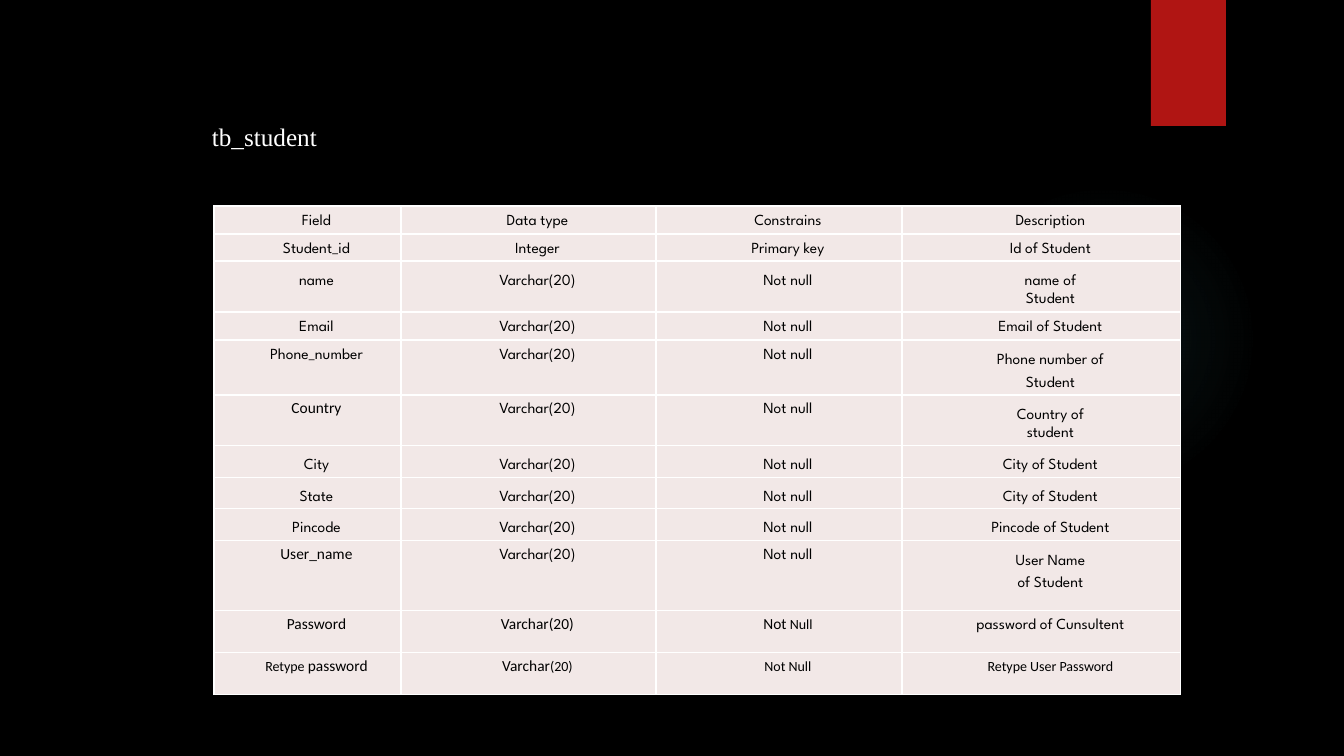
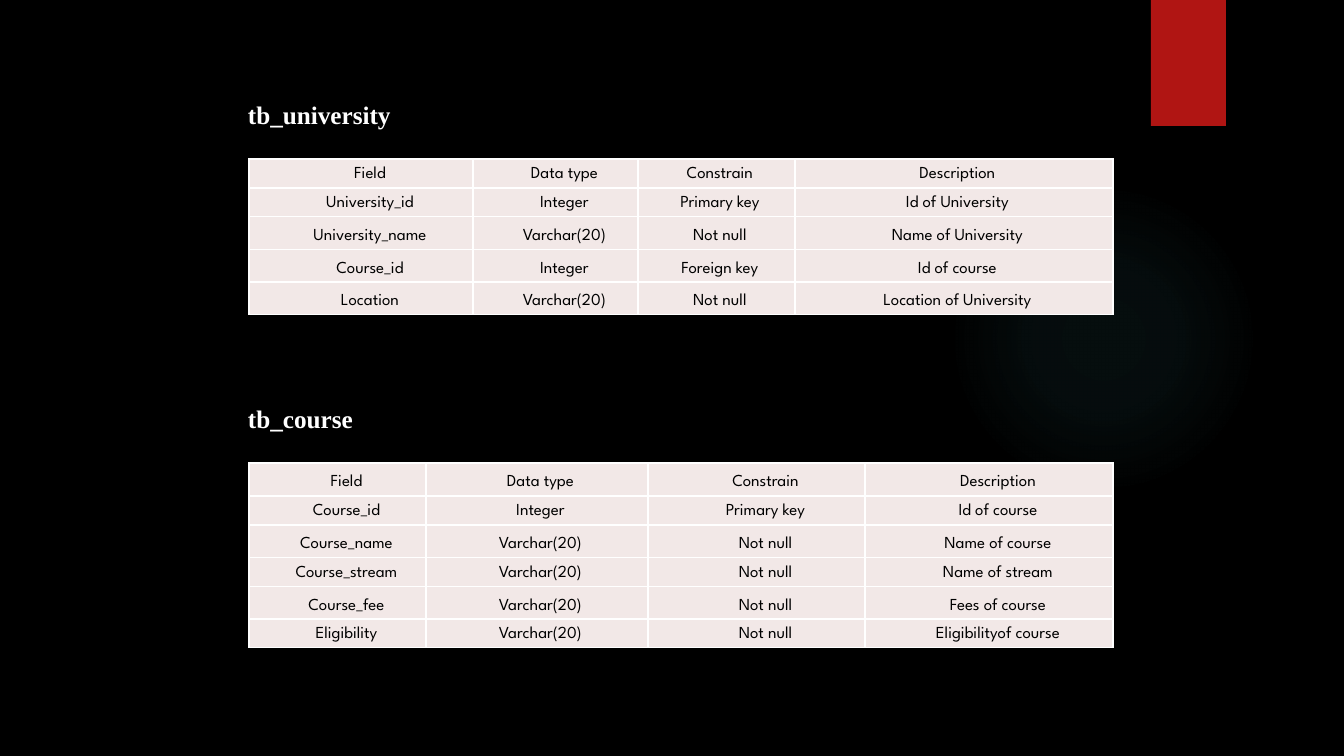
import dataclasses

import pptx
import pptx.dml.color
import pptx.enum.shapes
import pptx.enum.text
import pptx.oxml
import pptx.oxml.ns
import pptx.util

PAGE_WIDTH, PAGE_HEIGHT = 1344, 756
SCALE = 12192000 / PAGE_WIDTH

BLACK = pptx.dml.color.RGBColor(0x00, 0x00, 0x00)
WHITE = pptx.dml.color.RGBColor(0xFF, 0xFF, 0xFF)
RED = pptx.dml.color.RGBColor(0xB0, 0x15, 0x13)
TEAL = pptx.dml.color.RGBColor(0x50, 0xB9, 0xC1)
PALE_PINK = pptx.dml.color.RGBColor(0xF2, 0xE8, 0xE7)

TITLE_FONT = "Times New Roman"
TABLE_FONT = "League Spartan"
PLAIN_FONT = "Calibri"

TIGHT, MIDDLE, LOOSE = 13.2, 16.1, 17.1
WIDE_INDENT, SMALL_INDENT = 18, 7
GLOW_STOPS = ((0, 7), (36, 6), (69, 0))


@dataclasses.dataclass
class Span:
    text: str
    size: int = 11
    font: str = PLAIN_FONT


@dataclasses.dataclass
class Line:
    spans: list
    spacing: float


STUDENT_ROWS = [
    (28, TIGHT, ["Field", "Data type", "Constrains", "Description"]),
    (27, TIGHT, ["Student_id", "Integer", "Primary key", "Id of Student"]),
    (51, LOOSE, ["name", "Varchar(20)", "Not null",
                 [Line(["name of"], LOOSE), Line(["Student"], TIGHT)]]),
    (28, TIGHT, ["Email", "Varchar(20)", "Not null", "Email of Student"]),
    (55, TIGHT, ["Phone_number", "Varchar(20)", "Not null",
                 [Line(["Phone number of"], LOOSE), Line(["Student"], MIDDLE)]]),
    (51, TIGHT, [Span("Country"), "Varchar(20)", "Not null",
                 [Line(["Country of"], LOOSE), Line(["student"], TIGHT)]]),
    (32, MIDDLE, ["City", "Varchar(20)", "Not null", "City of Student"]),
    (31, MIDDLE, ["State", "Varchar(20)", "Not null", "City of Student"]),
    (32, MIDDLE, ["Pincode", "Varchar(20)", "Not null", "Pincode of Student"]),
    (70, TIGHT, [Span("User_name"), "Varchar(20)", "Not null",
                 [Line(["User Name"], LOOSE), Line(["of Student"], MIDDLE)]]),
    (42, TIGHT, [Span("Password"), Span("Varchar(20)"),
                 [Line([Span("Not"), Span(" Null", 10)], TIGHT)],
                 "password of Cunsultent"]),
    (42, TIGHT, [[Line([Span("Retype ", 10), Span("password")], TIGHT)],
                 [Line([Span("Varchar"), Span("(20)", 10)], TIGHT)],
                 Span("Not Null", 10), Span("Retype User Password", 10)]),
]

UNIVERSITY_ROWS = [
    (29, TIGHT, ["Field", "Data type", "Constrain", "Description"]),
    (28, TIGHT, ["University_id", "Integer", "Primary key", "Id of University"]),
    (33, MIDDLE, ["University_name", "Varchar(20)", "Not null", "Name of University"]),
    (32, MIDDLE, ["Course_id", "Integer", "Foreign key", "Id of course"]),
    (33, MIDDLE, ["Location", "Varchar(20)", "Not null", "Location of University"]),
]

COURSE_ROWS = [
    (33, MIDDLE, ["Field", "Data type", "Constrain", "Description"]),
    (29, TIGHT, ["Course_id", "Integer", "Primary key", "Id of course"]),
    (32, MIDDLE, ["Course_name", "Varchar(20)", "Not null", "Name of course"]),
    (29, TIGHT, ["Course_stream", "Varchar(20)", "Not null", "Name of stream"]),
    (32, MIDDLE, ["Course_fee", "Varchar(20)", "Not null", "Fees of course"]),
    (29, TIGHT, ["Eligibility", "Varchar(20)", "Not null", "Eligibilityof course"]),
]


def px(length):
    return pptx.util.Emu(round(length * SCALE))


def drawing_xml(body):
    return pptx.oxml.parse_xml(body.replace(">", f" {pptx.oxml.ns.nsdecls('a')}>", 1))


def write_text(para, text, size, font, color=BLACK, bold=False):
    span = para.add_run()
    span.text = text
    span.font.size = pptx.util.Pt(size)
    span.font.name = font
    span.font.color.rgb = color
    span.font.bold = bold


def add_plain_shape(page, kind, box):
    shape = page.shapes.add_shape(kind, *map(px, box))
    shape.shadow.inherit = False
    shape.line.fill.background()
    return shape


def add_glow(page, box):
    glow = add_plain_shape(page, pptx.enum.shapes.MSO_SHAPE.OVAL, box)
    glow.fill.background()
    stops = "".join(
        f'<a:gs pos="{place * 1000}"><a:srgbClr val="{TEAL}">'
        f'<a:alpha val="{alpha * 1000}"/></a:srgbClr></a:gs>'
        for place, alpha in GLOW_STOPS)
    gradient = drawing_xml(
        f'<a:gradFill><a:gsLst>{stops}</a:gsLst><a:path path="circle">'
        '<a:fillToRect l="50000" t="50000" r="50000" b="50000"/></a:path></a:gradFill>')
    properties = glow.fill._xPr
    properties.replace(properties.find(pptx.oxml.ns.qn("a:noFill")), gradient)


def add_page(deck):
    page = deck.slides.add_slide(deck.slide_layouts[6])
    add_glow(page, (949, 184, 310, 310))
    tab = add_plain_shape(page, pptx.enum.shapes.MSO_SHAPE.RECTANGLE, (1151, 0, 75, 126))
    tab.fill.solid()
    tab.fill.fore_color.rgb = RED
    return page


def add_title(page, left, top, text, bold=False):
    title = page.shapes.add_textbox(px(left), px(top), px(640), px(40))
    title.text_frame.word_wrap = True
    write_text(title.text_frame.paragraphs[0], text, size=18, font=TITLE_FONT,
               color=WHITE, bold=bold)


def style_cell(cell, margins):
    across, down = map(px, margins)
    cell.margin_left = cell.margin_right = across
    cell.margin_top = cell.margin_bottom = down
    cell.fill.solid()
    cell.fill.fore_color.rgb = PALE_PINK
    properties = cell._tc.get_or_add_tcPr()
    for position, side in enumerate("LRTB"):
        properties.insert(position, drawing_xml(
            f'<a:ln{side} w="12700"><a:solidFill><a:srgbClr val="{WHITE}"/>'
            f'</a:solidFill></a:ln{side}>'))


def fill_cell(cell, content, spacing, size, indent):
    lines = content if isinstance(content, list) else [Line([content], spacing)]
    for index, line in enumerate(lines):
        frame = cell.text_frame
        para = frame.add_paragraph() if index else frame.paragraphs[0]
        para.alignment = pptx.enum.text.PP_ALIGN.CENTER
        para.line_spacing = pptx.util.Pt(line.spacing)
        properties = para._p.get_or_add_pPr()
        properties.set("marL", str(px(indent)))
        properties.set("indent", "0")
        for item in line.spans:
            span = item if isinstance(item, Span) else Span(item, size, TABLE_FONT)
            write_text(para, span.text, size=span.size, font=span.font)


def add_field_table(page, left, top, widths, rows, size, indents, margins):
    height = sum(row_height for row_height, _, _ in rows)
    frame = page.shapes.add_table(
        len(rows), len(widths), px(left), px(top), px(sum(widths)), px(height))
    table = frame.table
    table.first_row = False
    table.horz_banding = False
    for column, width in zip(table.columns, widths):
        column.width = px(width)
    for row, (row_height, spacing, contents) in zip(table.rows, rows):
        row.height = px(row_height)
        for cell, content, indent in zip(row.cells, contents, indents):
            style_cell(cell, margins)
            fill_cell(cell, content, spacing, size, indent)


def build_student_page(deck):
    page = add_page(deck)
    add_field_table(page, 214, 206, (187, 255, 246, 279), STUDENT_ROWS, size=11,
                    indents=(WIDE_INDENT,) * 4, margins=(9, 4))
    add_title(page, 202, 116, "tb_student")


def build_university_page(deck):
    page = add_page(deck)
    sections = (
        ("tb_university", 94, (224, 165, 157, 318), UNIVERSITY_ROWS,
         (WIDE_INDENT, WIDE_INDENT, SMALL_INDENT, SMALL_INDENT)),
        ("tb_course", 398, (177, 222, 217, 248), COURSE_ROWS,
         (WIDE_INDENT, SMALL_INDENT, WIDE_INDENT, WIDE_INDENT)),
    )
    for name, top, widths, rows, indents in sections:
        add_field_table(page, 249, top + 65, widths, rows, size=12,
                        indents=indents, margins=(10, 5))
        add_title(page, 238, top, name, bold=True)


def main():
    deck = pptx.Presentation()
    deck.slide_width = px(PAGE_WIDTH)
    deck.slide_height = px(PAGE_HEIGHT)
    backdrop = deck.slide_master.background.fill
    backdrop.solid()
    backdrop.fore_color.rgb = BLACK
    build_student_page(deck)
    build_university_page(deck)
    deck.save("out.pptx")


if __name__ == "__main__":
    main()
